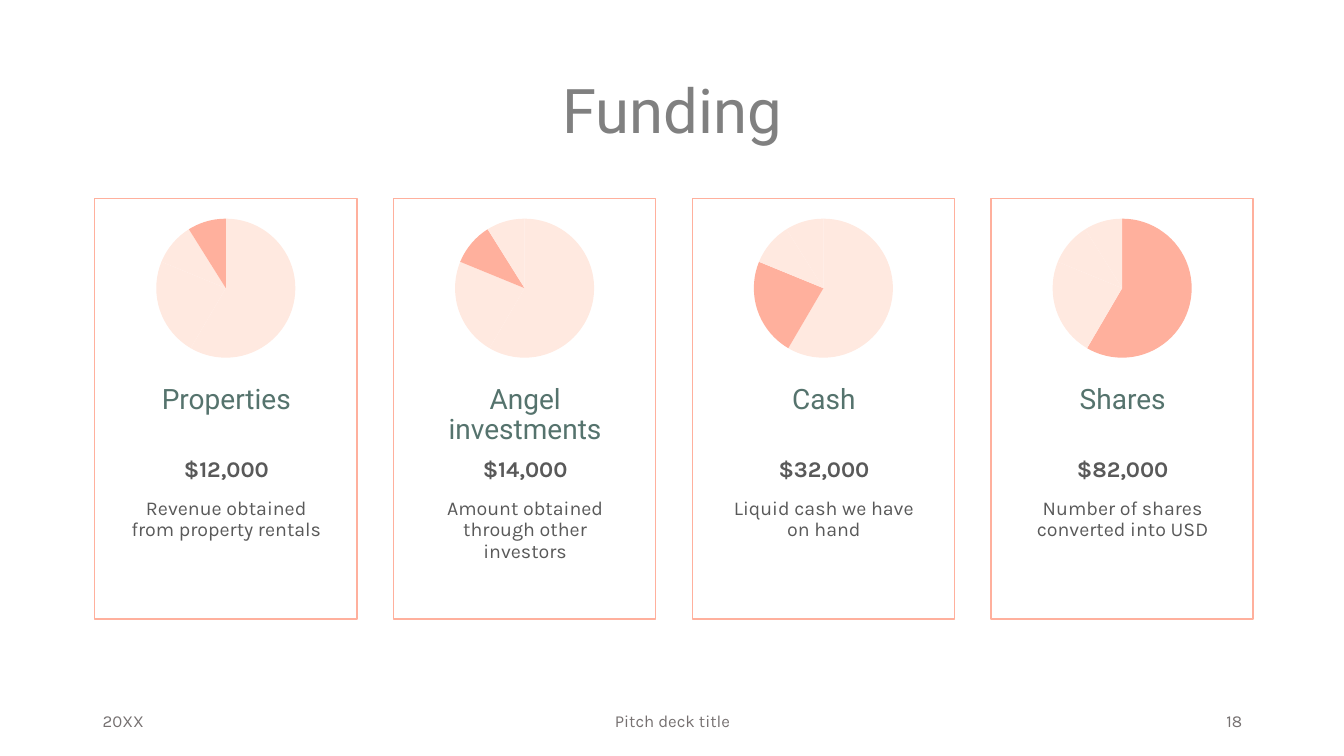
"""Build the funding slide: four cards, each with a pie chart and captions."""
from lxml import etree
from pptx import Presentation
from pptx.chart.data import CategoryChartData
from pptx.dml.color import RGBColor
from pptx.enum.chart import XL_CHART_TYPE
from pptx.enum.shapes import MSO_SHAPE
from pptx.enum.text import MSO_ANCHOR, PP_ALIGN
from pptx.util import Inches, Pt

PIE, RECTANGLE = XL_CHART_TYPE.PIE, MSO_SHAPE.RECTANGLE
TOP, MIDDLE = MSO_ANCHOR.TOP, MSO_ANCHOR.MIDDLE
LEFT, CENTER, RIGHT = PP_ALIGN.LEFT, PP_ALIGN.CENTER, PP_ALIGN.RIGHT

TITLE = "Funding"
CARDS = [
    ("Properties", "$12,000", "Revenue obtained from property rentals", 3),
    ("Angel investments", "$14,000", "Amount obtained through other investors", 2),
    ("Cash", "$32,000", "Liquid cash we have on hand", 1),
    ("Shares", "$82,000", "Number of shares converted into USD", 0),
]
CATEGORIES, SHARES = ("1", "2", "3", "4"), (59, 23, 10, 9)
FOOTERS = [
    ("20XX", 0.92, 3, LEFT),
    ("Pitch deck title", 4.42, 4.5, CENTER),
    ("18", 9.42, 3, RIGHT),
]
COLORS = {
    "coral": "FFB09D", "blush": "FFE9E0", "title": "808080",
    "green": "55736D", "text": "595959", "footer": "767171", "black": "000000",
}
FORMATS = {
    "title": {"name": "Roboto", "size": Pt(44), "bold": False, "color": "title"},
    "heading": {"name": "Roboto", "size": Pt(20), "color": "green"},
    "amount": {"name": "Karla", "size": Pt(16), "bold": True, "color": "text"},
    "detail": {"name": "Karla", "size": Pt(14), "color": "text"},
    "footer": {"name": "Karla", "size": Pt(12), "color": "footer"},
    "chart": {"name": "Karla", "size": Pt(10), "color": "black"},
}
CAPTION_ROWS = [("heading", 3.77, 0.7), ("amount", 4.5, 0.4), ("detail", 4.9, 1)]
FIRST_LEFT, LAST_LEFT = 0.94, 9.83
PITCH = (LAST_LEFT - FIRST_LEFT) / (len(CARDS) - 1)
CARD_TOP, CARD_WIDTH, CARD_HEIGHT = 1.97, 2.6, 4.17
PIE_TOP, PIE_WIDTH, PIE_HEIGHT, PIE_DIAMETER = 2.03, 1.99, 1.66, 1.38
CAPTION_WIDTH, CAPTION_INSET = 2.25, 0.18


def rgb(name):
    return RGBColor.from_string(COLORS[name])


def box(left, top, width, height):
    return [Inches(value) for value in (left, top, width, height)]


def apply_font(font, style):
    for attribute, value in FORMATS[style].items():
        if attribute == "color":
            font.color.rgb = rgb(value)
        else:
            setattr(font, attribute, value)


def write(shape, text, style, alignment=CENTER, anchor=TOP, spacing=0.9):
    frame = shape.text_frame
    frame.word_wrap = True
    frame.vertical_anchor = anchor
    frame.text = text
    paragraph = frame.paragraphs[0]
    paragraph.alignment = alignment
    paragraph.line_spacing = spacing
    apply_font(paragraph.runs[0].font, style)


def fix_plot_size(chart):
    plot_area = chart.plots[0]._element.getparent()
    namespace = plot_area.nsmap["c"]
    for layout in plot_area.findall(f"{{{namespace}}}layout"):
        plot_area.remove(layout)
    layout = etree.Element(f"{{{namespace}}}layout")
    manual = etree.SubElement(layout, f"{{{namespace}}}manualLayout")
    width, height = PIE_DIAMETER / PIE_WIDTH, PIE_DIAMETER / PIE_HEIGHT
    values = {
        "layoutTarget": "inner", "xMode": "edge", "yMode": "edge",
        "x": (1 - width) / 2, "y": (1 - height) / 2, "w": width, "h": height,
    }
    for tag, value in values.items():
        etree.SubElement(manual, f"{{{namespace}}}{tag}", val=str(value))
    plot_area.insert(0, layout)


def add_pie(slide, left, highlighted):
    data = CategoryChartData()
    data.categories = CATEGORIES
    data.add_series("Series 1", SHARES)
    frame = slide.shapes.add_chart(PIE, *box(left, PIE_TOP, PIE_WIDTH, PIE_HEIGHT), data)
    chart = frame.chart
    chart.has_title = chart.has_legend = False
    apply_font(chart.font, "chart")
    chart.plots[0].vary_by_categories = True
    for index in range(len(SHARES)):
        slice_format = chart.plots[0].series[0].points[index].format
        slice_format.fill.solid()
        slice_format.fill.fore_color.rgb = rgb("coral" if index == highlighted else "blush")
        slice_format.line.fill.background()
    fix_plot_size(chart)


def add_card(slide, left, captions, highlighted):
    card = slide.shapes.add_shape(RECTANGLE, *box(left, CARD_TOP, CARD_WIDTH, CARD_HEIGHT))
    card.shadow.inherit = False
    card.fill.background()
    card.line.color.rgb = rgb("coral")
    card.line.width = Pt(1)
    add_pie(slide, left + (CARD_WIDTH - PIE_WIDTH) / 2, highlighted)
    for text, (style, top, height) in zip(captions, CAPTION_ROWS):
        area = box(left + CAPTION_INSET, top, CAPTION_WIDTH, height)
        write(slide.shapes.add_textbox(*area), text, style)


def main():
    presentation = Presentation()
    presentation.slide_width, presentation.slide_height = Inches(13.33), Inches(7.5)
    slide = presentation.slides.add_slide(presentation.slide_layouts[5])
    title = slide.shapes.title
    title.left, title.top, title.width, title.height = box(0.92, 0.4, 11.5, 1.45)
    write(title, TITLE, "title", anchor=MIDDLE)
    for column, (*captions, highlighted) in enumerate(CARDS):
        add_card(slide, FIRST_LEFT + column * PITCH, captions, highlighted)
    for text, left, width, alignment in FOOTERS:
        footer = slide.shapes.add_textbox(*box(left, 6.95, width, 0.4))
        write(footer, text, "footer", alignment, MIDDLE, 1.0)
    presentation.save("out.pptx")


if __name__ == "__main__":
    main()
